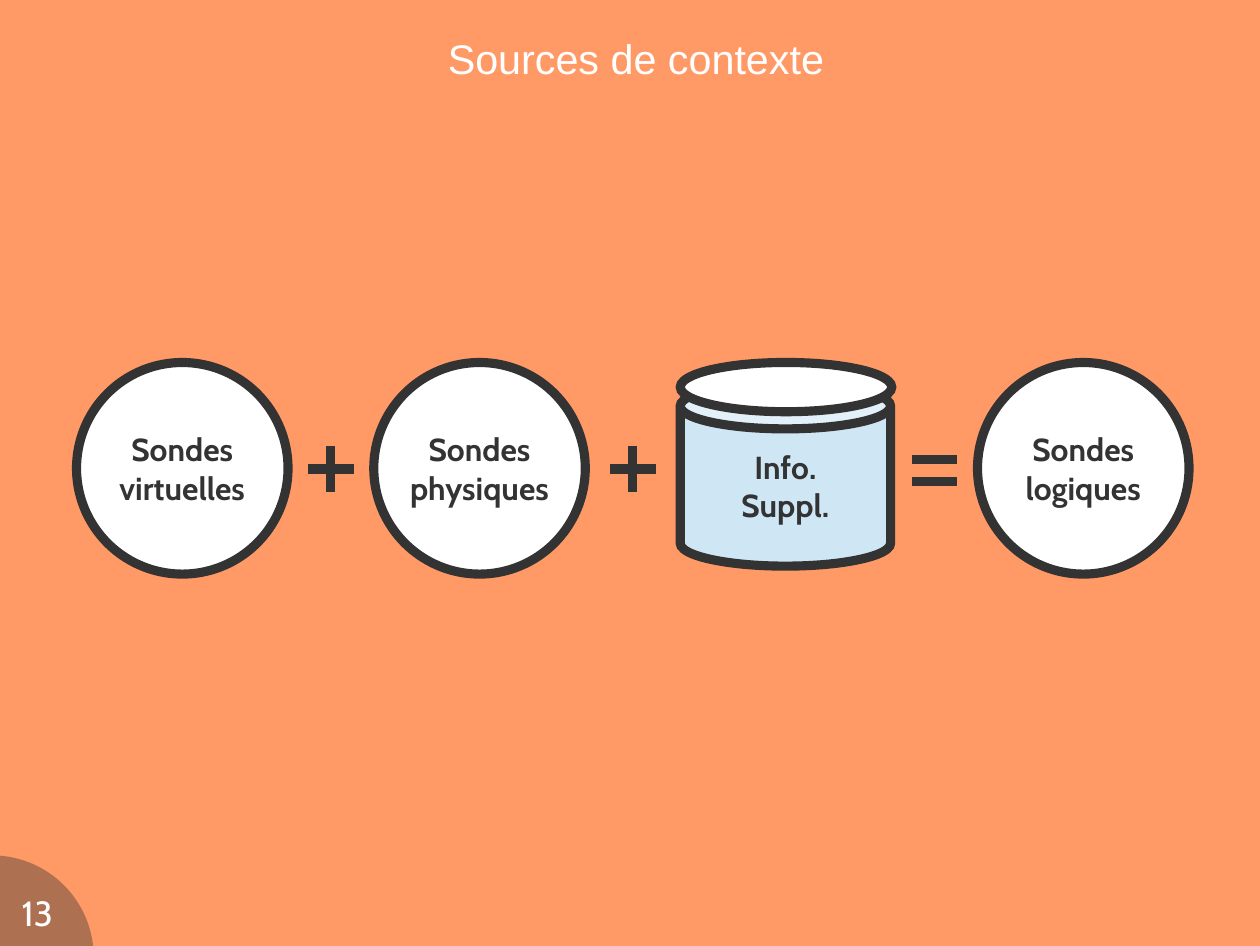
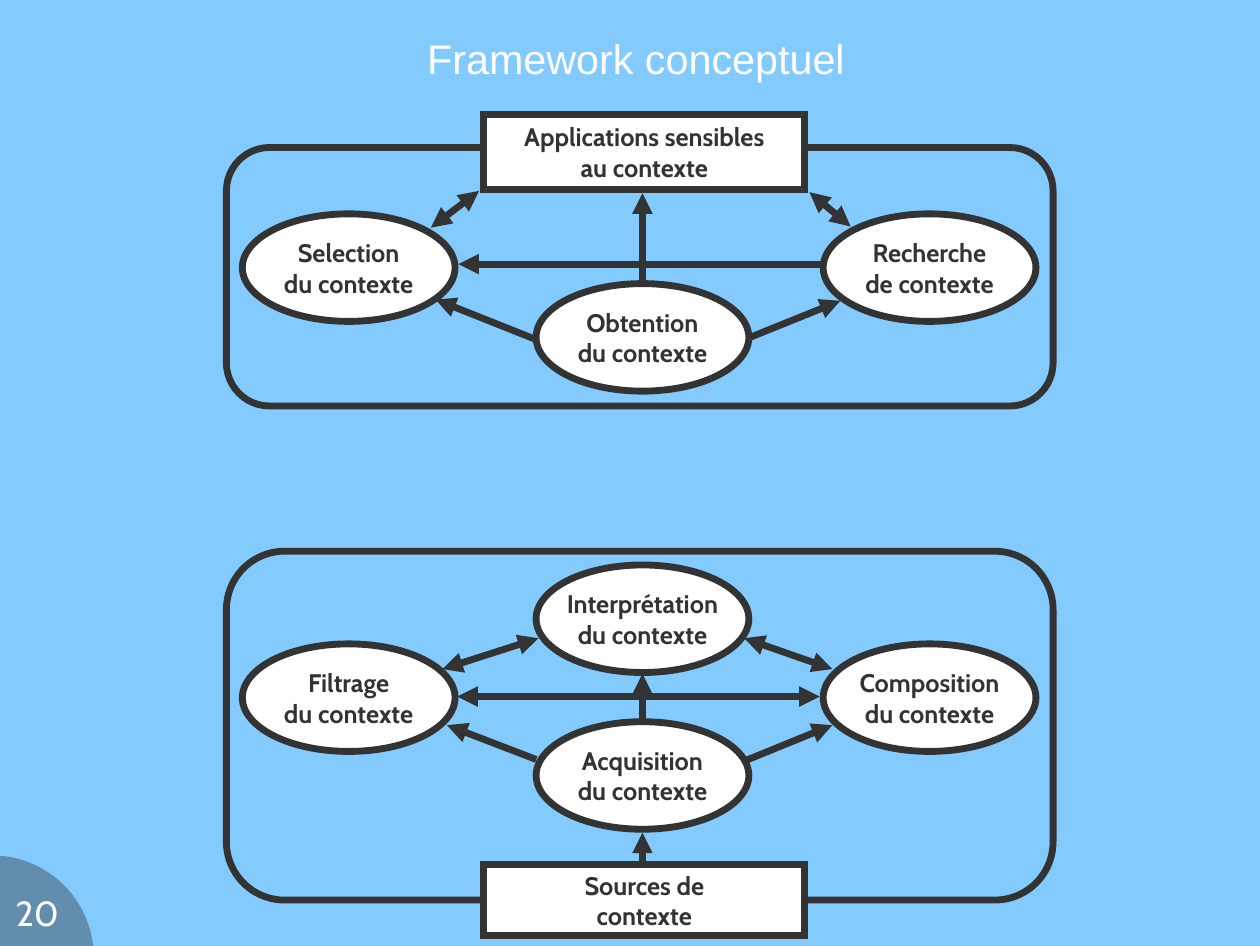
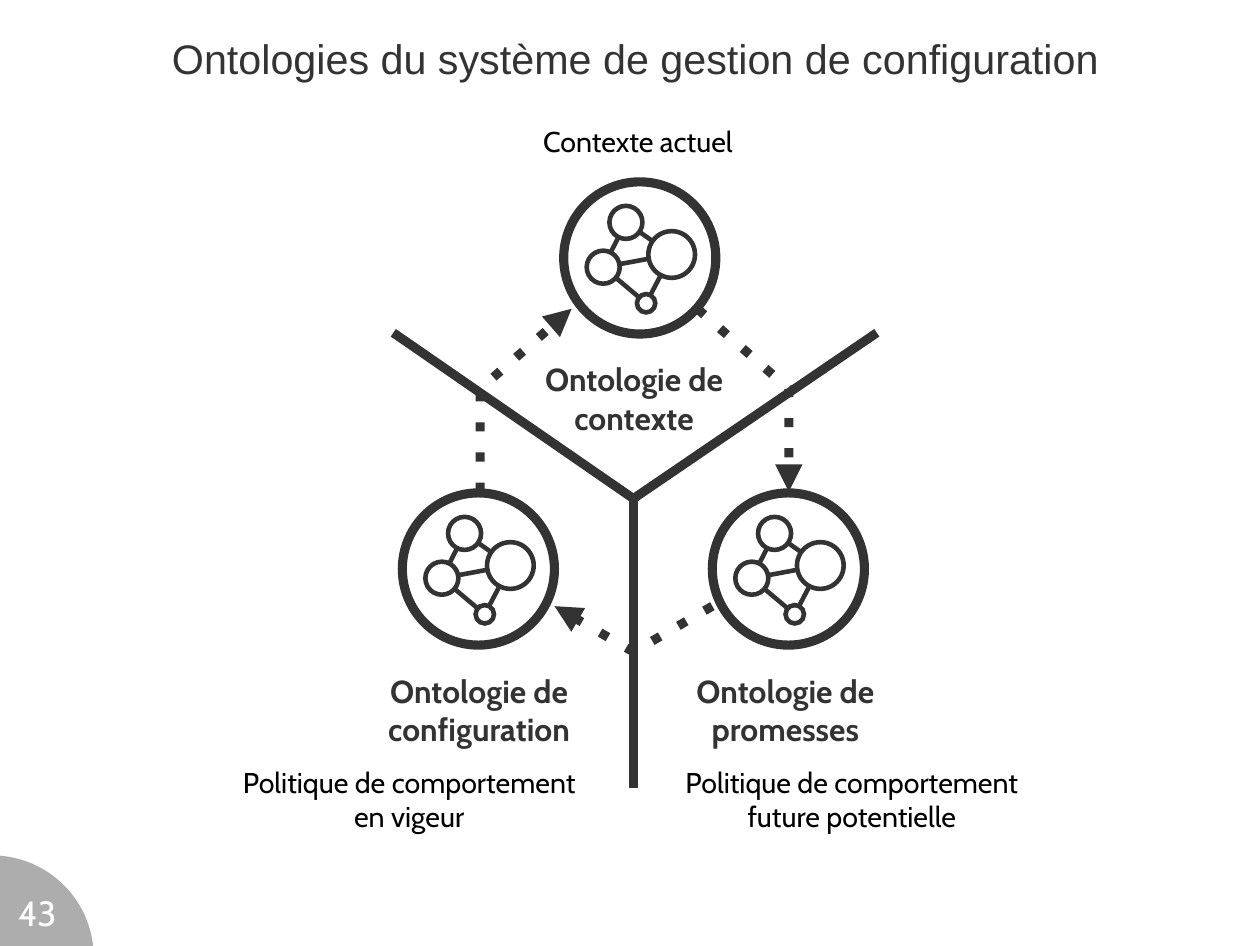
import math
from dataclasses import dataclass

import lxml.etree
import pptx
import pptx.dml.color
import pptx.enum.shapes
import pptx.enum.text
import pptx.oxml.ns
import pptx.util

Pt = pptx.util.Pt
SHAPES = pptx.enum.shapes.MSO_SHAPE
ANCHOR = pptx.enum.text.MSO_ANCHOR


@dataclass(frozen=True)
class Theme:
    ink: str = "333333"
    white: str = "FFFFFF"
    black: str = "000000"
    orange: str = "FF9966"
    sky: str = "83CAFF"
    pale_blue: str = "CFE7F5"
    title_font: str = "Arial"
    body_font: str = "Cabin"
    title_size: float = 26
    number_size: float = 22
    large_size: float = 20
    caption_size: float = 18
    small_size: float = 16
    heavy_line: float = 5.75
    medium_line: float = 4.31
    thin_line: float = 2.89


THEME = Theme()


def color(code):
    return pptx.dml.color.RGBColor.from_string(code)


def add_element(parent, tag, **attributes):
    return lxml.etree.SubElement(parent, pptx.oxml.ns.qn(tag), attributes)


class Deck:
    """Holds the presentation, its style and the slide being drawn."""

    def __init__(self, theme):
        self.theme = theme
        self.presentation = pptx.Presentation()
        self.presentation.slide_width = Pt(793.5)
        self.presentation.slide_height = Pt(595.5)
        self.slide = None

    def start_slide(self, title, number, background, title_color):
        theme = self.theme
        self.slide = self.presentation.slides.add_slide(self.presentation.slide_layouts[6])
        self.slide.background.fill.solid()
        self.slide.background.fill.fore_color.rgb = color(background)
        # Translucent page corner
        corner = self.shape(SHAPES.OVAL, -69, 538.5, 128, 128, theme.ink)
        tint = corner.element.spPr.find(".//" + pptx.oxml.ns.qn("a:srgbClr"))
        add_element(tint, "a:alpha", val="40000")
        self.text(title, 23.8, 1.4, 753.8, 70.6, theme.title_size, title_color,
                  font=theme.title_font, anchor=ANCHOR.MIDDLE, margins=(0, 0))
        self.text(str(number), 6.5, 561, 34, 28, theme.number_size, theme.white,
                  margins=(0, 0))

    def set_text(self, shape, text, size, text_color, bold, font, anchor, margins, wrap):
        frame = shape.text_frame
        frame.text = text.replace("\n", "\v")
        frame.word_wrap = wrap
        frame.vertical_anchor = anchor
        frame.margin_left = frame.margin_right = Pt(margins[0])
        frame.margin_top = frame.margin_bottom = Pt(margins[1])
        for paragraph in frame.paragraphs:
            paragraph.alignment = pptx.enum.text.PP_ALIGN.CENTER
            for run in paragraph.runs:
                run.font.name = font
                run.font.size = Pt(size)
                run.font.bold = bold
                run.font.color.rgb = color(text_color)

    def text(self, text, left, top, width, height, size, text_color, bold=False,
             font=None, anchor=ANCHOR.TOP, margins=(7.2, 3.6)):
        box = self.slide.shapes.add_textbox(Pt(left), Pt(top), Pt(width), Pt(height))
        self.set_text(box, text, size, text_color, bold, font or self.theme.body_font,
                      anchor, margins, True)

    def outline(self, shape, weight, arrows="", dotted=False):
        shape.line.color.rgb = color(self.theme.ink)
        shape.line.width = Pt(weight)
        line = shape.element.spPr.get_or_add_ln()
        if dotted:
            dashes = add_element(line, "a:custDash")
            add_element(dashes, "a:ds", d="100000", sp="230000")
        add_element(line, "a:miter", lim="800000")
        if arrows == "both":
            add_element(line, "a:headEnd", type="triangle")
        if arrows:
            add_element(line, "a:tailEnd", type="triangle")

    def shape(self, kind, left, top, width, height, fill=None, weight=None):
        shape = self.slide.shapes.add_shape(kind, Pt(left), Pt(top), Pt(width), Pt(height))
        shape.shadow.inherit = False
        if fill:
            shape.fill.solid()
            shape.fill.fore_color.rgb = color(fill)
        else:
            shape.fill.background()
        if weight:
            self.outline(shape, weight)
        else:
            shape.line.fill.background()
        return shape

    def labelled(self, kind, text, left, top, width, height, weight, size, fill=None):
        shape = self.shape(kind, left, top, width, height, fill or self.theme.white, weight)
        self.set_text(shape, text, size, self.theme.ink, True, self.theme.body_font,
                      ANCHOR.MIDDLE, (9.5, 6), False)
        return shape

    def line(self, start, end, weight, arrows=""):
        connector = self.slide.shapes.add_connector(
            pptx.enum.shapes.MSO_CONNECTOR.STRAIGHT,
            *(Pt(value) for value in (*start, *end)))
        self.outline(connector, weight, arrows)
        add_element(connector.element.spPr, "a:effectLst")

    def dotted_arrow(self, points):
        start, *others = [(Pt(x), Pt(y)) for x, y in points]
        builder = self.slide.shapes.build_freeform(*start)
        builder.add_line_segments(others, close=False)
        shape = builder.convert_to_shape()
        shape.shadow.inherit = False
        shape.fill.background()
        self.outline(shape, self.theme.heavy_line, "end", dotted=True)

    def graph_icon(self, left, top):
        theme = self.theme
        self.shape(SHAPES.OVAL, left, top, 95.8, 95.8, theme.white, theme.heavy_line)
        # Node centre and radius, then links trimmed at the node edges
        nodes = [(left + x, top + y, radius) for x, y, radius in (
            (24.9, 53.7, 10.4), (68, 45.7, 14.7), (51.9, 76.4, 5.8), (39.2, 25.5, 10.4))]
        for x, y, radius in nodes:
            self.shape(SHAPES.OVAL, x - radius, y - radius, 2 * radius, 2 * radius,
                       weight=theme.thin_line)
        for first, second in ((0, 2), (2, 1), (1, 3), (0, 3), (0, 1)):
            x1, y1, r1 = nodes[first]
            x2, y2, r2 = nodes[second]
            length = math.hypot(x2 - x1, y2 - y1)
            across, down = (x2 - x1) / length, (y2 - y1) / length
            self.line((x1 + r1 * across, y1 + r1 * down),
                      (x2 - r2 * across, y2 - r2 * down), theme.thin_line)


def draw_sources(deck):
    theme = deck.theme
    deck.start_slide("Sources de contexte", 13, theme.orange, theme.white)
    diameter, top, weight = 133.2, 228.2, theme.heavy_line
    lefts = (48.2, 235.4, 428.4, 615.6)

    # Store and probes
    can = deck.labelled(SHAPES.CAN, "Info.\nSuppl.", lefts[2], 241.2, 132.5, 115.2,
                        weight, theme.large_size, theme.pale_blue)
    can.adjustments[0] = 0.25
    for left, kind in ((lefts[0], "virtuelles"), (lefts[1], "physiques"),
                       (lefts[3], "logiques")):
        deck.labelled(SHAPES.OVAL, f"Sondes\n{kind}", left, top, diameter, diameter,
                      weight, theme.large_size)
    deck.shape(SHAPES.OVAL, lefts[2], top, diameter, 31, theme.white, weight)

    # Operators halfway between neighbours
    arm, middle = 14.4, 295.2
    plus_1, plus_2, equals = ((left + diameter + following) / 2
                              for left, following in zip(lefts, lefts[1:]))
    for x in (plus_1, plus_2):
        deck.line((x, middle - arm), (x, middle + arm), weight)
        deck.line((x - arm, middle), (x + arm, middle), weight)
    for y in (289.5, 303):
        deck.line((equals - arm, y), (equals + arm, y), weight)


def draw_framework(deck):
    theme = deck.theme
    deck.start_slide("Framework conceptuel", 20, theme.sky, theme.white)
    weight, size = theme.medium_line, theme.small_size
    left, center, right = 219.6, 404.6, 585.4
    width, height = 134, 67.7

    # Stages
    for text, x, y in (
            ("Selection\ndu contexte", left, 168.5),
            ("Recherche\nde contexte", right, 168.5),
            ("Obtention\ndu contexte", center, 212.4),
            ("Interprétation\ndu contexte", center, 389.5),
            ("Filtrage\ndu contexte", left, 439.2),
            ("Composition\ndu contexte", right, 439.2),
            ("Acquisition\ndu contexte", center, 488.2)):
        deck.labelled(SHAPES.OVAL, text, x - width / 2, y - height / 2, width, height,
                      weight, size)

    # Frames and the boxes on their borders
    for top, frame_height in ((92.9, 162.7), (347, 219.6)):
        frame = deck.shape(SHAPES.ROUNDED_RECTANGLE, 142.6, top, 520.6, frame_height,
                           weight=weight)
        frame.adjustments[0] = 0.167
    for text, top, box_height in (("Applications sensibles\nau contexte", 72, 47.5),
                                  ("Sources de\ncontexte", 544.3, 44.6)):
        deck.labelled(SHAPES.RECTANGLE, text, 304.6, top, 202.3, box_height, weight, size)

    # Flows
    for start, end, arrows in (
            ((517, 166.3), (288.7, 166.3), "end"),
            ((516.2, 438.5), (288, 438.5), "both"),
            ((center, 452.9), (center, 424.1), "end"),
            ((509.8, 121), (535.7, 142.6), "both"),
            ((center, 177.8), (center, 121.7), "end"),
            ((301.7, 120.2), (271.4, 143.3), "both"),
            ((472.3, 212.4), (529.2, 189.4), "end"),
            ((337.7, 213.8), (274.3, 188.6), "end"),
            ((center, 542.9), (center, 524.2), "end"),
            ((339.1, 401.8), (278.6, 421.2), "both"),
            ((524.2, 421.2), (468.7, 401.8), "both"),
            ((337.7, 478.1), (281.5, 456.5), "end"),
            ((469.4, 478.8), (524.2, 456.5), "end")):
        deck.line(start, end, weight, arrows)


def draw_ontologies(deck):
    theme = deck.theme
    deck.start_slide("Ontologies du système de gestion de configuration", 43,
                     theme.white, theme.ink)
    for left, top in ((355, 114.5), (448.6, 310.3), (253.4, 310.3)):
        deck.graph_icon(left, top)

    # Names and captions
    for text, left, top, width, height in (
            ("Ontologie de contexte", 322.6, 223.2, 153.4, 62),
            ("Ontologie de promesses", 420.5, 419, 148.3, 62),
            ("Ontologie de configuration", 212.4, 419, 178.6, 62)):
        deck.text(text, left, top, width, height, theme.large_size, theme.ink, bold=True)
    for text, left, top, width, height in (
            ("Contexte actuel", 303.1, 74.2, 197.3, 31.7),
            ("Politique de comportement\nfuture potentielle", 411.1, 478.1, 250.6, 56),
            ("Politique de comportement\nen vigeur", 138.2, 478.1, 239, 56)):
        deck.text(text, left, top, width, height, theme.caption_size, theme.black)

    # Three sectors
    hub = (398.9, 313.9)
    for end in ((398.9, 496.1), (552.2, 209.5), (247.7, 209.5)):
        deck.line(hub, end, theme.heavy_line)

    # Cycle between the ontologies
    for points in (((439.2, 194.4), (496.8, 244.8), (496.8, 309.6)),
                   ((448.6, 381.6), (398.9, 410.4), (349.2, 381.6)),
                   ((302.4, 309.6), (302.4, 244.8), (360, 194.4))):
        deck.dotted_arrow(points)


def main():
    deck = Deck(THEME)
    draw_sources(deck)
    draw_framework(deck)
    draw_ontologies(deck)
    deck.presentation.save("out.pptx")


if __name__ == "__main__":
    main()
